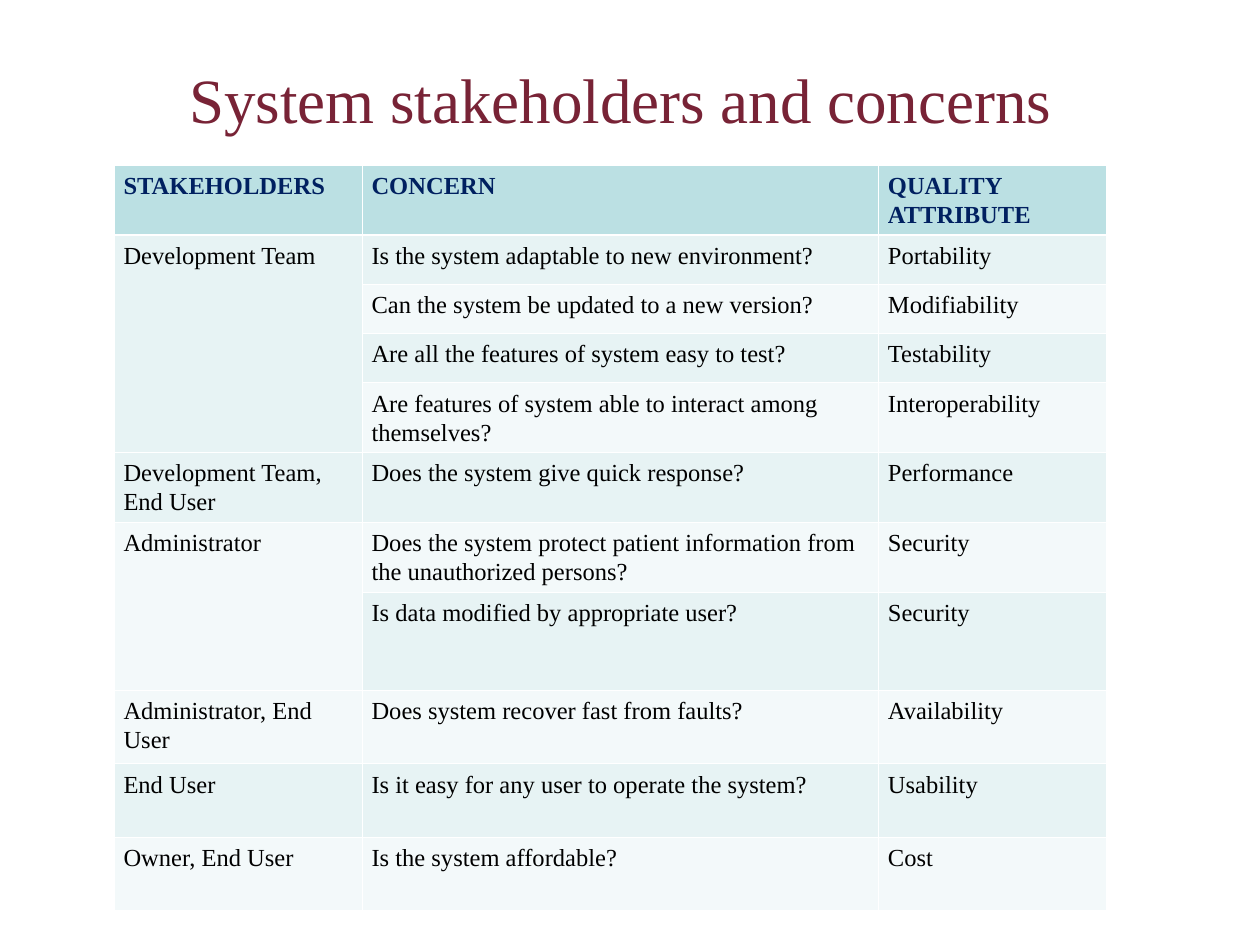
from pptx import Presentation
from pptx.dml.color import RGBColor
from pptx.enum.text import MSO_ANCHOR, PP_ALIGN
from pptx.oxml.ns import qn
from pptx.util import Cm, Pt
from lxml.etree import SubElement

FONT = "Times New Roman"
WINE = RGBColor(0x78, 0x23, 0x36)
NAVY = RGBColor(0x00, 0x20, 0x60)
BLACK = RGBColor(0x00, 0x00, 0x00)
WHITE = RGBColor(0xFF, 0xFF, 0xFF)
TEAL = RGBColor(0xBB, 0xE0, 0xE3)
BANDS = (RGBColor(0xF3, 0xF9, 0xFA), RGBColor(0xE7, 0xF3, 0xF4))

THIN, THICK = Pt(0.45), Pt(1.47)
COLS = (5.0, 10.41, 4.6)
HEADS = ("STAKEHOLDERS", "CONCERN", "QUALITY ATTRIBUTE")
HEAD_TALL = 1.27
# Each group: stakeholder, then (concern, quality attribute, row height)
GROUPS = (
    ("Development Team", (
        ("Is the system adaptable to new environment?", "Portability", 0.99),
        ("Can the system be updated to a new version?", "Modifiability", 0.99),
        ("Are all the features of system easy to test?", "Testability", 0.99),
        ("Are features of system able to interact among themselves?",
         "Interoperability", 1.27))),
    ("Development Team, End User", (
        ("Does the system give quick response?", "Performance", 1.27),)),
    ("Administrator", (
        ("Does the system protect patient information from the "
         "unauthorized persons?", "Security", 1.27),
        ("Is data modified by appropriate user?", "Security", 1.98))),
    ("Administrator, End User", (
        ("Does system recover fast from faults?", "Availability", 1.48),)),
    ("End User", (
        ("Is it easy for any user to operate the system?", "Usability", 1.48),)),
    ("Owner, End User", (
        ("Is the system affordable?", "Cost", 1.48),)),
)


def write(frame, text, size=14, color=BLACK, bold=False,
          align=PP_ALIGN.LEFT, space=1.07):
    frame.word_wrap = True
    para = frame.paragraphs[0]
    para.alignment = align
    para.line_spacing = space
    run = para.add_run()
    run.text = text
    font = run.font
    font.name, font.size, font.bold = FONT, Pt(size), bold
    font.color.rgb = color


def edge(cell, **widths):
    """Draw white borders; keywords are the sides L, R, T and B."""
    props = cell._tc.get_or_add_tcPr()
    for side, width in widths.items():
        line = SubElement(props, qn(f"a:ln{side}"), w=str(int(width)))
        fill = SubElement(line, qn("a:solidFill"))
        SubElement(fill, qn("a:srgbClr"), val=str(WHITE))


def add_title(slide, left, top, width, height):
    title = slide.shapes.title
    title.left, title.top = Cm(left), Cm(top)
    title.width, title.height = Cm(width), Cm(height)
    frame = title.text_frame
    frame.vertical_anchor = MSO_ANCHOR.TOP
    frame.margin_top = Cm(0.3)
    write(frame, "System stakeholders and concerns", size=36, color=WINE,
          align=PP_ALIGN.CENTER, space=1.0)


def add_grid(slide, left, top):
    rows = [HEADS]
    talls = [HEAD_TALL]
    spans = []
    for who, items in GROUPS:
        spans.append((len(rows), len(rows) + len(items) - 1))
        for i, (concern, trait, tall) in enumerate(items):
            rows.append((who if i == 0 else "", concern, trait))
            talls.append(tall)

    table = slide.shapes.add_table(
        len(rows), len(COLS), Cm(left), Cm(top),
        Cm(sum(COLS)), Cm(sum(talls))).table
    for col, wide in zip(table.columns, COLS):
        col.width = Cm(wide)
    for row, tall in zip(table.rows, talls):
        row.height = Cm(tall)

    for r, texts in enumerate(rows):
        head = r == 0
        for c, text in enumerate(texts):
            cell = table.cell(r, c)
            cell.margin_left = cell.margin_right = Cm(0.19)
            cell.margin_top = cell.margin_bottom = Cm(0.12)
            edge(cell, L=THIN, R=THIN, T=THICK if r == 1 else THIN,
                 B=THICK if head else THIN)
            cell.fill.solid()
            cell.fill.fore_color.rgb = TEAL if head else BANDS[r % 2]
            if text:
                write(cell.text_frame, text, bold=head,
                      color=NAVY if head else BLACK)
    for first, last in spans:
        if last > first:
            table.cell(first, 0).merge(table.cell(last, 0))


def main():
    deck = Presentation()
    deck.slide_width, deck.slide_height = Cm(25.4), Cm(19.05)
    slide = deck.slides.add_slide(deck.slide_layouts[5])
    add_title(slide, 0.51, 0.91, 24, 16.41)
    add_grid(slide, 2.3, 3.33)
    deck.save("out.pptx")


if __name__ == "__main__":
    main()
